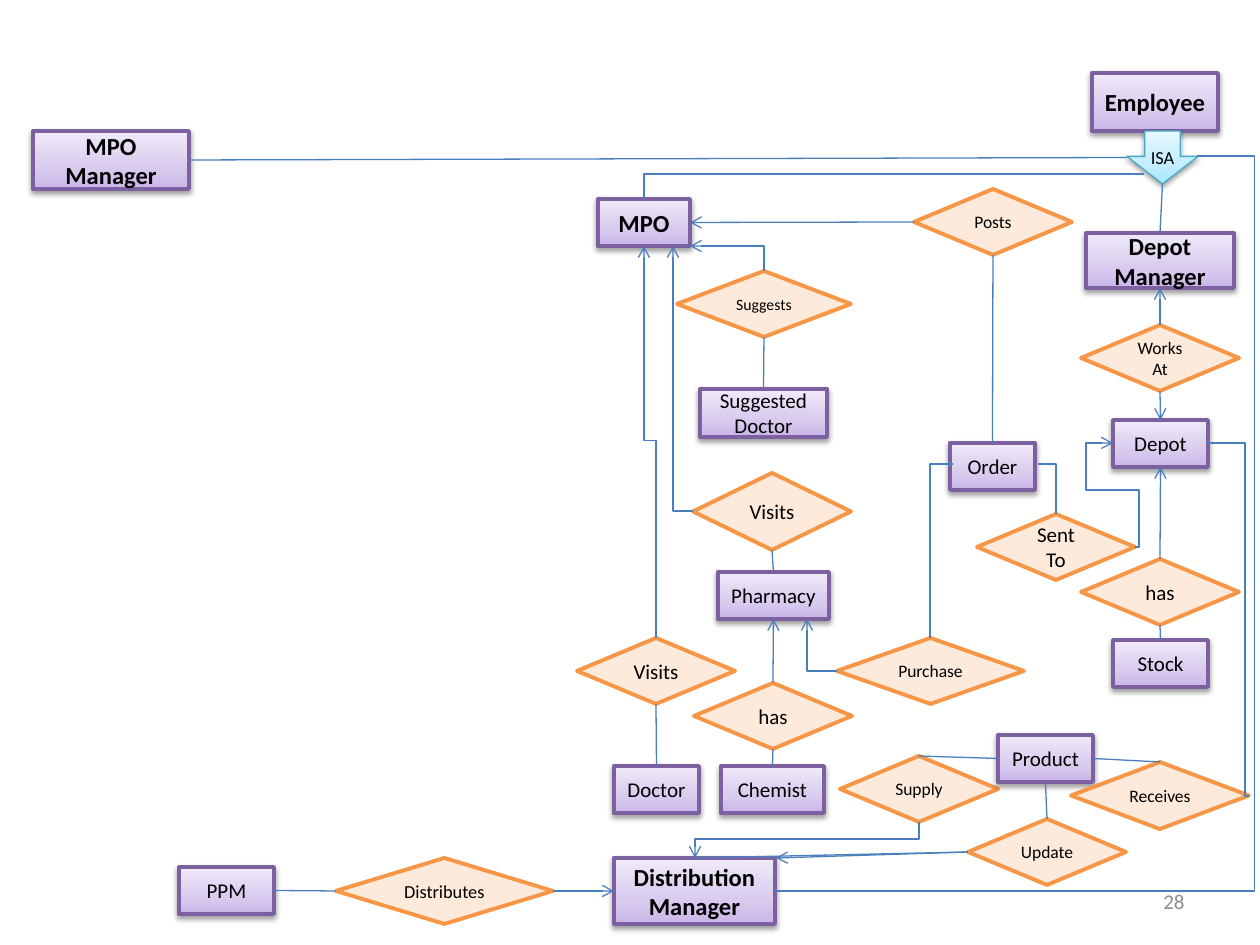
from copy import deepcopy
from dataclasses import dataclass

from lxml.etree import SubElement
from pptx import Presentation
from pptx.dml.color import RGBColor
from pptx.enum.shapes import MSO_CONNECTOR, MSO_SHAPE
from pptx.enum.text import MSO_ANCHOR, PP_ALIGN
from pptx.oxml.ns import qn
from pptx.slide import Slide
from pptx.util import Inches, Pt

PIXELS_PER_INCH = 126
TOP, LEFT, BOTTOM, RIGHT = range(4)

BLACK = RGBColor(0x00, 0x00, 0x00)
GREY = RGBColor(0x8C, 0x8C, 0x8C)
LINK_BLUE = RGBColor(0x4B, 0x7E, 0xBC)
PURPLE = RGBColor(0x7D, 0x60, 0xA0)
ORANGE = RGBColor(0xF7, 0x96, 0x46)
PEACH = RGBColor(0xFD, 0xEA, 0xDA)
AQUA = RGBColor(0x46, 0xAA, 0xC5)
LILAC_STOPS = (RGBColor(0xC9, 0xB5, 0xE8), RGBColor(0xD8, 0xCB, 0xEE), RGBColor(0xF0, 0xEA, 0xF9))
AQUA_STOPS = (RGBColor(0xA7, 0xE6, 0xFF), RGBColor(0xC1, 0xED, 0xFF), RGBColor(0xE7, 0xF8, 0xFF))


def px(length):
    return round(Inches(length) / PIXELS_PER_INCH)


def add_text(shape, text, size, color=BLACK, bold=False, align=PP_ALIGN.CENTER):
    frame = shape.text_frame
    frame.word_wrap = True
    frame.vertical_anchor = MSO_ANCHOR.MIDDLE
    paragraph = frame.paragraphs[0]
    paragraph.alignment = align
    run = paragraph.add_run()
    run.text = text
    run.font.name = "Calibri"
    run.font.size = Pt(size)
    run.font.bold = bold
    run.font.color.rgb = color


def fill_gradient(shape, colors):
    """Blend three colours from the bottom of the shape to its top."""
    shape.fill.gradient()
    shape.fill.gradient_angle = 90
    stop_list = shape._element.spPr.find(".//" + qn("a:gsLst"))
    stop_list.append(deepcopy(stop_list[0]))
    for stop, color, position in zip(shape.fill.gradient_stops, colors, (0, 0.35, 1)):
        stop.color.rgb = color
        stop.position = position


def add_shadow(shape):
    effects = shape._element.spPr.find(qn("a:effectLst"))
    shadow = SubElement(effects, qn("a:outerShdw"), blurRad="40000", dist="20000",
                        dir="5400000", rotWithShape="0")
    color = SubElement(shadow, qn("a:srgbClr"), val="000000")
    SubElement(color, qn("a:alpha"), val="38000")


def style_link(connector, arrow):
    connector.line.color.rgb = LINK_BLUE
    connector.line.width = Pt(0.75)
    properties = connector._element.spPr
    if arrow:
        SubElement(properties.find(qn("a:ln")), qn("a:tailEnd"), type="arrow")
    SubElement(properties, qn("a:effectLst"))


@dataclass
class Region:
    """Part of the diagram; every place is counted from its top left corner."""
    slide: Slide
    left: int
    top: int

    def shape(self, kind, box, outline, line_width):
        left, top, width, height = box
        shape = self.slide.shapes.add_shape(
            kind, px(self.left + left), px(self.top + top), px(width), px(height))
        shape.shadow.inherit = False
        shape.line.color.rgb = outline
        shape.line.width = Pt(line_width)
        return shape

    def entity(self, text, box, size=12, bold=False):
        shape = self.shape(MSO_SHAPE.RECTANGLE, box, PURPLE, 2.25)
        fill_gradient(shape, LILAC_STOPS)
        add_shadow(shape)
        add_text(shape, text, size, bold=bold)
        return shape

    def main_entity(self, text, box):
        return self.entity(text, box, 14, True)

    def relationship(self, text, box, size=12):
        shape = self.shape(MSO_SHAPE.FLOWCHART_DECISION, box, ORANGE, 2.25)
        shape.fill.solid()
        shape.fill.fore_color.rgb = PEACH
        add_text(shape, text, size)
        return shape

    def link(self, begin, begin_side, end, end_side, arrow=False):
        connector = self.slide.shapes.add_connector(MSO_CONNECTOR.STRAIGHT, 0, 0, 0, 0)
        connector.begin_connect(begin, begin_side)
        connector.end_connect(end, end_side)
        style_link(connector, arrow)
        return connector

    def elbow(self, *points, arrow=False):
        """Draw a bent connector through corner points, starting either way."""
        (x1, y1), (x2, y2) = points[0], points[-1]
        delta = (x2 - x1, y2 - y1)
        width, height = abs(delta[0]), abs(delta[1])
        center_x, center_y = self.left + (x1 + x2) / 2, self.top + (y1 + y2) / 2
        vertical = points[1][0] == x1
        if vertical:
            width, height = height, width
        connector = self.slide.shapes.add_connector(MSO_CONNECTOR.ELBOW, 0, 0, 0, 0)
        connector.left, connector.top = px(center_x - width / 2), px(center_y - height / 2)
        connector.width, connector.height = px(width), px(height)
        frame = connector._element.spPr.find(qn("a:xfrm"))
        if vertical:
            frame.rot = 90
            frame.flipH, frame.flipV = delta[1] < 0, delta[0] > 0
        else:
            frame.flipH, frame.flipV = delta[0] < 0, delta[1] < 0
        geometry = connector._element.spPr.find(qn("a:prstGeom"))
        geometry.set("prst", f"bentConnector{len(points) - 1}")
        for index, corner in enumerate(points[1:-2]):
            axis = (index + vertical) % 2
            ratio = (corner[axis] - points[0][axis]) / delta[axis]
            SubElement(geometry.find(qn("a:avLst")), qn("a:gd"), name=f"adj{index + 1}",
                       fmla=f"val {round(ratio * 100000)}")
        style_link(connector, arrow)


def draw_staff(region):
    employee_box = (1059, 0, 126, 58)
    region.main_entity("Employee", employee_box)
    isa = region.shape(MSO_SHAPE.DOWN_ARROW, (1094, 58, 71, 53), AQUA, 0.75)
    isa.adjustments[0], isa.adjustments[1] = 0.5, 0.52
    fill_gradient(isa, AQUA_STOPS)
    add_shadow(isa)
    add_text(isa, "ISA", 10.5)
    isa.text_frame.word_wrap = False
    isa.text_frame.margin_top, isa.text_frame.margin_bottom = px(14), 0
    mpo_manager = region.main_entity("MPO Manager", (0, 58, 156, 58))
    depot_manager = region.main_entity("Depot Manager", (1053, 160, 148, 55))
    region.link(isa, LEFT, mpo_manager, RIGHT)
    region.link(isa, BOTTOM, depot_manager, TOP)
    return depot_manager


def draw_visits(region):
    mpo = region.main_entity("MPO", (21, 0, 92, 47))
    suggests = region.relationship("Suggests", (100, 72, 174, 66), 9)
    suggested_doctor = region.entity("Suggested Doctor", (123, 190, 127, 48))
    pharmacy_visits = region.relationship("Visits", (116, 274, 158, 77))
    pharmacy = region.entity("Pharmacy", (141, 373, 111, 47))
    doctor_visits = region.relationship("Visits", (0, 439, 158, 66))
    doctor = region.entity("Doctor", (37, 567, 85, 47))
    has = region.relationship("has", (117, 484, 158, 66))
    chemist = region.entity("Chemist", (144, 567, 103, 47))
    region.link(suggests, BOTTOM, suggested_doctor, TOP)
    region.link(pharmacy_visits, BOTTOM, pharmacy, TOP)
    region.link(doctor_visits, BOTTOM, doctor, TOP)
    region.link(has, BOTTOM, chemist, TOP)
    region.link(has, TOP, pharmacy, BOTTOM, arrow=True)
    region.elbow((187, 72), (187, 47), (113, 47), arrow=True)
    region.elbow((116, 312), (96, 312), (96, 47), arrow=True)
    region.elbow((79, 439), (79, 242), (67, 242), (67, 47), arrow=True)
    return mpo


def draw_orders(region):
    posts = region.relationship("Posts", (77, 0, 158, 66), 10)
    order = region.entity("Order", (113, 254, 85, 47))
    region.relationship("Sent To", (140, 325, 158, 66))
    region.relationship("Purchase", (0, 449, 187, 66), 10)
    region.link(posts, BOTTOM, order, TOP)
    region.elbow((201, 275), (219, 275), (219, 325))
    region.elbow((93, 449), (93, 275), (116, 275))
    return posts


def draw_depot(region):
    works_at = region.relationship("Works At", (0, 0, 158, 66), 10)
    depot = region.entity("Depot", (32, 95, 95, 47))
    has = region.relationship("has", (0, 234, 158, 66))
    stock = region.entity("Stock", (32, 315, 95, 47))
    region.link(works_at, BOTTOM, depot, TOP, arrow=True)
    region.link(has, TOP, depot, BOTTOM, arrow=True)
    region.link(has, BOTTOM, stock, TOP)
    return works_at


def draw_distribution(region):
    ppm = region.entity("PPM", (0, 132, 95, 47))
    distributes = region.relationship("Distributes", (157, 123, 217, 66), 10.5)
    manager = region.main_entity("Distribution Manager", (435, 123, 161, 66))
    supply = region.relationship("Supply", (661, 21, 158, 66), 10)
    product = region.entity("Product", (819, 0, 95, 47))
    update = region.relationship("Update", (789, 84, 158, 66), 10)
    receives = region.relationship("Receives", (892, 27, 178, 67), 10)
    region.link(distributes, LEFT, ppm, RIGHT)
    region.link(distributes, RIGHT, manager, LEFT, arrow=True)
    region.link(supply, TOP, product, LEFT)
    region.link(receives, TOP, product, RIGHT)
    region.link(product, BOTTOM, update, TOP)
    region.link(manager, TOP, update, LEFT)
    corner_link = region.link(update, LEFT, manager, RIGHT, arrow=True)
    corner_link._element.nvCxnSpPr.cNvCxnSpPr._remove_endCxn()
    corner_link.end_x, corner_link.end_y = px(region.left + 597), px(region.top + 123)
    region.elbow((740, 87), (740, 104), (516, 104), (516, 123), arrow=True)


def draw_diagram(slide):
    depot_manager = draw_staff(Region(slide, 33, 73))
    mpo = draw_visits(Region(slide, 577, 199))
    posts = draw_orders(Region(slide, 837, 189))
    works_at = draw_depot(Region(slide, 1081, 325))
    draw_distribution(Region(slide, 179, 735))
    whole = Region(slide, 0, 0)
    whole.link(posts, LEFT, mpo, RIGHT, arrow=True)
    whole.link(works_at, TOP, depot_manager, BOTTOM, arrow=True)
    whole.elbow((644, 199), (644, 174), (1144, 174))
    whole.elbow((1197, 156), (1255, 156), (1255, 891), (775, 891))
    whole.elbow((1208, 443), (1245, 443), (1245, 796), (1249, 796))
    whole.elbow((1135, 547), (1139, 547), (1139, 490), (1086, 490), (1086, 443), (1113, 443),
                arrow=True)
    whole.elbow((837, 671), (807, 671), (807, 619), arrow=True)


def draw_page_number(slide, left, top, width, height):
    box = slide.shapes.add_textbox(px(left), px(top), px(width), px(height))
    add_text(box, "28", 12, GREY, align=PP_ALIGN.RIGHT)


def main():
    presentation = Presentation()
    presentation.slide_width, presentation.slide_height = px(1260), px(945)
    slide = presentation.slides.add_slide(presentation.slide_layouts[6])
    draw_diagram(slide)
    draw_page_number(slide, 903, 876, 294, 50)
    presentation.save("out.pptx")


if __name__ == "__main__":
    main()
